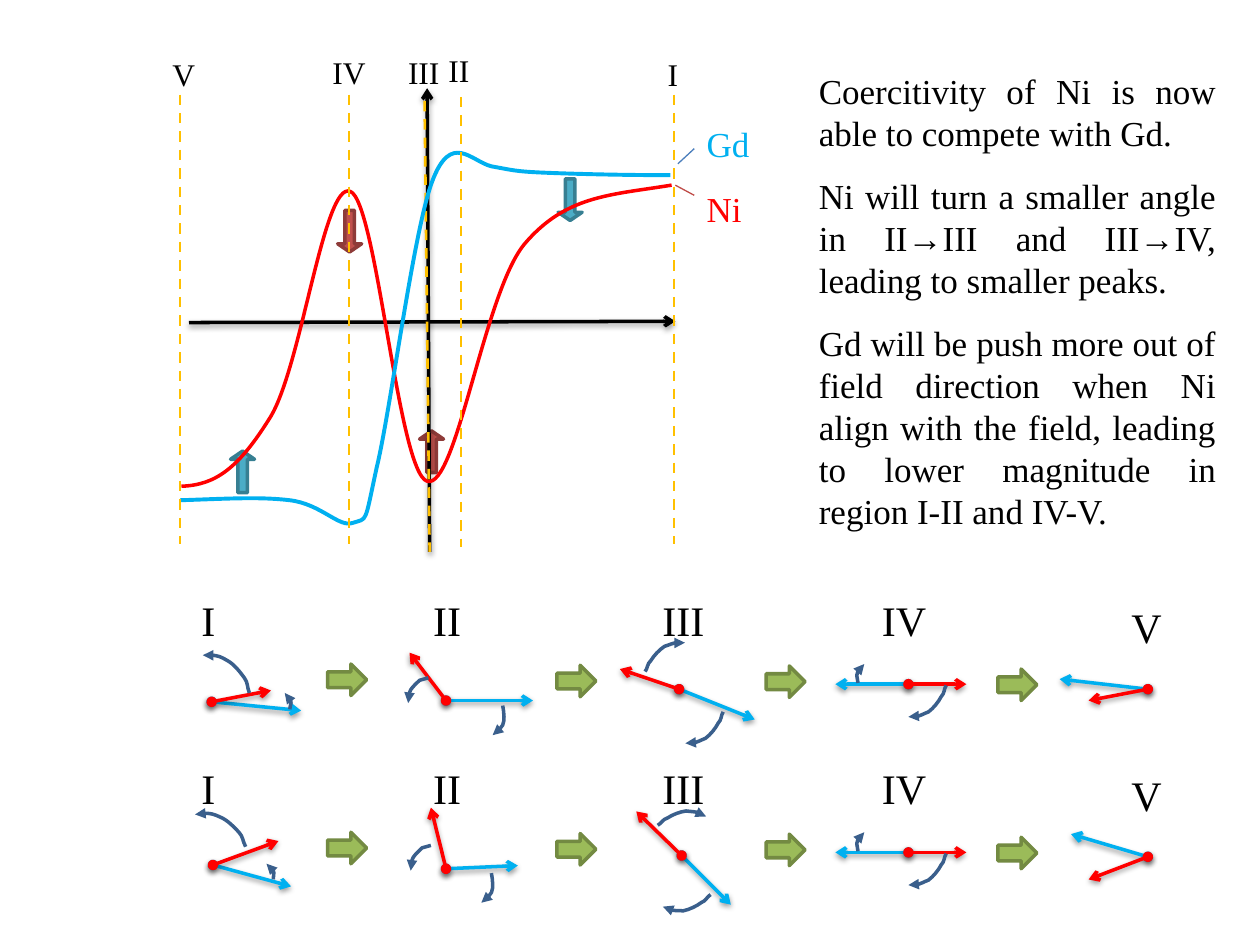
from math import cos, radians, sin

from lxml.etree import SubElement
from pptx import Presentation
from pptx.dml.color import RGBColor
from pptx.enum.dml import MSO_LINE
from pptx.enum.shapes import MSO_CONNECTOR, MSO_SHAPE
from pptx.enum.text import MSO_AUTO_SIZE, PP_ALIGN
from pptx.oxml.ns import qn
from pptx.util import Inches, Pt

FONT = "Times New Roman"
COLORS = {
    "black": "000000", "gd": "00B0F0", "ni": "FF0000", "guide": "FFC000",
    "teal": "4BACC6", "teal_edge": "377F92", "brick": "C0504D", "brick_edge": "8E3B39",
    "green": "9BBB59", "green_edge": "738A42", "turn": "3A5F8C",
    "gd_lead": "4B7EBC", "ni_lead": "BF4C48",
}
NI_CURVE = [
    (53.3, 14.7), (48.4, 15.5), (44.9, 15.5), (41.6, 19.4), (38.4, 23.3), (36.2, 38.9),
    (33.9, 38.2), (31.6, 37.5), (29.9, 16), (27.8, 15.2), (25.7, 14.3), (23.9, 29.3),
    (21.4, 33.2), (18.9, 37.2), (17.1, 38.5), (14.4, 38.6),
]
GD_CURVE = [
    (53.2, 13.9), (49.2, 13.9), (45.5, 13.8), (43.1, 13.7), (40.8, 13.6), (40.7, 13.5),
    (39, 13.2), (37.4, 12.8), (35.8, 10.4), (34.3, 14.4), (32.8, 18.4), (31, 32.6),
    (29.9, 37.1), (28.9, 41.7), (29.2, 41.1), (28, 41.5), (26.9, 41.9), (25.5, 40),
    (23, 39.7), (20.5, 39.4), (17.7, 39.6), (14.3, 39.7),
]
ARCS = {
    "sweep": [(0, 0), (-.2, -.5), (-.1, -.8), (-.4, -1.2), (-.7, -1.6), (-1.2, -2.3),
              (-1.8, -2.6), (-2.3, -2.9), (-2.9, -3.1), (-3.7, -3)],
    "nudge": [(0, 0), (0, -.2), (.1, -.4), (.1, -.5), (.1, -.6), (.1, -.7),
              (0, -.9), (-.1, -1), (-.2, -1.3), (-.4, -1.3)],
    "hook": [(0, 0), (-.3, .1), (-.4, .05), (-.7, .2), (-.9, .4), (-1.2, .65),
             (-1.4, .95), (-1.5, 1.2), (-1.7, 1.6), (-1.6, 2)],
    "drop": [(0, 0), (.05, .3), (.1, .6), (.1, .9), (.1, 1.1), (.1, 1.3),
             (0, 1.55), (-.2, 1.8), (-.5, 2.4), (-.8, 2.35)],
    "wide": [(0, 0), (-.2, .3), (-.1, .6), (-.4, .9), (-.6, 1.3), (-1, 1.8),
             (-1.4, 2.1), (-1.9, 2.3), (-2.3, 2.6), (-3, 2.5)],
    "flick": [(0, 0), (0, -.2), (-.1, -.4), (-.1, -.6), (0, -.8), (0, -1.1),
              (.1, -1.2), (.2, -1.4), (.3, -1.5), (.5, -1.5)],
}
PHASES = [("I", 15, 0, 3), ("II", 33.4, 0, 4.6), ("III", 51.6, 0, 6.3),
          ("IV", 69, 0, 6.2), ("V", 88.8, .55, 6.2)]
STEPS = [(26, 6), (44.2, 6.1), (60.8, 6.15), (79.2, 6.4)]
PHASE_IV = ((72.1, 7.6), (66.3, 7.6), (76.7, 7.6))
PHASE_IV_ARCS = [("wide", 75.1, 7.7, 0), ("flick", 68.1, 7.5, 0)]
ROWS = [
    (46.7,
     [((16.8, 9), (23.9, 9.7), (21.5, 8.1)), ((35.4, 8.9), (42.3, 8.9), (32.5, 5.1)),
      ((53.9, 8), (59.9, 10.4), (49.2, 6.4)), PHASE_IV,
      ((91.1, 8), (84.1, 7.2), (86.4, 8.9))],
     [("sweep", 19.8, 8.3, 0), ("nudge", 23, 9.6, 0), ("hook", 34, 7.1, 0),
      ("drop", 39.9, 9.3, 0), ("wide", 51.2, 6.6, 183.9), ("wide", 57.4, 9.8, 0)]),
    (60.05,
     [((16.9, 8.6), (23.1, 10.3), (22.1, 6.7)), ((35.4, 8.9), (41.1, 8.65), (34.2, 4.05)),
      ((54.1, 7.85), (58, 11.75), (50.5, 4.35)), PHASE_IV,
      ((91.1, 7.95), (85, 6.15), (86.4, 9.75))],
     [("sweep", 19.5, 7.15, -6.5), ("nudge", 21.7, 9.75, -6.6), ("hook", 34.2, 7.05, 0),
      ("drop", 39, 9.25, 0), ("wide", 52.2, 5.45, 209.5), ("wide", 56.4, 10.95, 25.6)]),
]
NOTES = [
    "Coercitivity of Ni is now able to compete with Gd.",
    "Ni will turn a smaller angle in II→III and III→IV, leading to smaller peaks.",
    "Gd will be push more out of field direction when Ni align with the field, "
    "leading to lower magnitude in region I-II and IV-V.",
]


def grid(*cells):
    """Turn cells of the 100 by 75 slide grid into lengths."""
    return [Inches(cell / 10) for cell in cells]


def rgb(name):
    """Look up a colour by name."""
    return RGBColor.from_string(COLORS[name])


def stroke(shape, color, width, head=None, tail=None, shadow=False):
    """Set colour, width, line ends and shadow of an outline."""
    shape.line.color.rgb = rgb(color)
    shape.line.width = Pt(width)
    spPr = shape.element.spPr
    for tag, kind in (("a:headEnd", head), ("a:tailEnd", tail)):
        if kind:
            SubElement(spPr.find(qn("a:ln")), qn(tag), type=kind)
    effects = SubElement(spPr, qn("a:effectLst"))
    if shadow:
        outer = SubElement(effects, qn("a:outerShdw"), blurRad="40000", dist="20000",
                           dir="5400000", rotWithShape="0")
        clr = SubElement(outer, qn("a:srgbClr"), val=COLORS["black"])
        SubElement(clr, qn("a:alpha"), val="38000")


def add_line(s, start, end, color, width=2, dashed=False, **ends):
    """Draw a straight line between two grid points."""
    line = s.shapes.add_connector(MSO_CONNECTOR.STRAIGHT, *grid(*start, *end))
    if dashed:
        line.line.dash_style = MSO_LINE.DASH
    stroke(line, color, width, **ends)


def add_curve(s, points, color, width, tail=None):
    """Draw an open chain of cubic curves through grid points."""
    start, *rest = [tuple(grid(*point)) for point in points]
    builder = s.shapes.build_freeform(*start)
    builder.add_line_segments(rest, close=False)
    curve = builder.convert_to_shape()
    lines = list(curve.element.iter(qn("a:lnTo")))
    for i in range(0, len(lines), 3):
        bezier = SubElement(lines[i].getparent(), qn("a:cubicBezTo"))
        for line in lines[i:i + 3]:
            bezier.append(line[0])
            line.getparent().remove(line)
    curve.fill.background()
    stroke(curve, color, width, tail=tail)


def add_arc(s, kind, x, y, angle):
    """Draw a turning arrow from a grid point, rotated by an angle."""
    c, d = cos(radians(angle)), sin(radians(angle))
    points = [(x + u * c - v * d, y + u * d + v * c) for u, v in ARCS[kind]]
    add_curve(s, points, "turn", 2, tail="triangle")


def add_block_arrow(s, kind, box, color, rotation=0, adjustments=()):
    """Draw a filled block arrow."""
    arrow = s.shapes.add_shape(kind, *grid(*box))
    for i, value in enumerate(adjustments):
        arrow.adjustments[i] = value
    arrow.rotation = rotation
    arrow.fill.solid()
    arrow.fill.fore_color.rgb = rgb(color)
    stroke(arrow, color + "_edge", 2)


def add_text(s, box, paragraphs, size, color="black", align=PP_ALIGN.LEFT, after=0):
    """Add a wrapped text box."""
    tf = s.shapes.add_textbox(*grid(*box)).text_frame
    tf.word_wrap = True
    tf.auto_size = MSO_AUTO_SIZE.SHAPE_TO_FIT_TEXT
    tf.text = "\n".join(paragraphs)
    for p in tf.paragraphs:
        p.alignment = align
        p.space_after = Pt(after)
        for r in p.runs:
            r.font.name, r.font.size = FONT, Pt(size)
            r.font.color.rgb = rgb(color)


def add_graph(s):
    """Draw the two curves with axes, guides and labels."""
    for x, y, color, rotation in [(44.3, 14.2, "teal", 0), (18.3, 35.8, "teal", 180),
                                  (26.8, 16.7, "brick", 0), (33.3, 34.2, "brick", 180)]:
        add_block_arrow(s, MSO_SHAPE.DOWN_ARROW, (x, y, 1.9, 3.3), color, rotation, (.4, .34))
    for start, end in [((15, 25.6), (53.6, 25.5)), ((34.1, 43.8), (33.9, 7))]:
        add_line(s, start, end, "black", tail="arrow", shadow=True)
    add_curve(s, NI_CURVE, "ni", 2)
    add_line(s, (33.7, 8), (34.1, 43.8), "guide", 1.5, dashed=True)
    for text, x, y, width in [("I", 52, 3.9, 2.5), ("III", 31.4, 3.7, 4.6), ("IV", 25.4, 3.7, 5.9),
                              ("V", 12.7, 3.9, 4.9), ("II", 34.6, 3.6, 3.7)]:
        add_text(s, (x, y, width, 4), [text], 18)
    add_line(s, (55.1, 11.8), (53.8, 13), "gd_lead", .75)
    add_line(s, (55.1, 15.5), (53.6, 14.7), "ni_lead", .75)
    add_text(s, (55.1, 9.2, 6.7, 4.4), ["Gd"], 20, "gd")
    add_text(s, (55.1, 14.4, 6.7, 4.4), ["Ni"], 20, "ni")
    add_curve(s, GD_CURVE, "gd", 2.25)
    for x, y in [(36.6, 7.7), (53.5, 7.5), (27.7, 7.5), (14.3, 7.5)]:
        add_line(s, (x, y), (x, y + 35.7), "guide", 1.5, dashed=True)


def add_row(s, top, vectors, arcs):
    """Draw one sequence of the five phases."""
    for x, y in STEPS:
        add_block_arrow(s, MSO_SHAPE.RIGHT_ARROW, (x, top + y, 3.1, 2.5), "green")
    for text, x, y, width in PHASES:
        add_text(s, (x, top + y, width, 5), [text], 24)
    for (px, py), *tips in vectors:
        for (x, y), color in zip(tips, ("gd", "ni")):
            add_line(s, (px, top + py), (x, top + y), color,
                     head="oval", tail="arrow", shadow=True)
    for kind, x, y, angle in arcs + PHASE_IV_ARCS:
        add_arc(s, kind, x, top + y, angle)


def main():
    """Build and save the slide."""
    prs = Presentation()
    prs.slide_width, prs.slide_height = grid(100, 75)
    s = prs.slides.add_slide(prs.slide_layouts[6])
    add_graph(s)
    for row in ROWS:
        add_row(s, *row)
    add_text(s, (64, 5, 33.5, 38), NOTES, 20, align=PP_ALIGN.JUSTIFY, after=12)
    prs.save("out.pptx")


if __name__ == "__main__":
    main()
